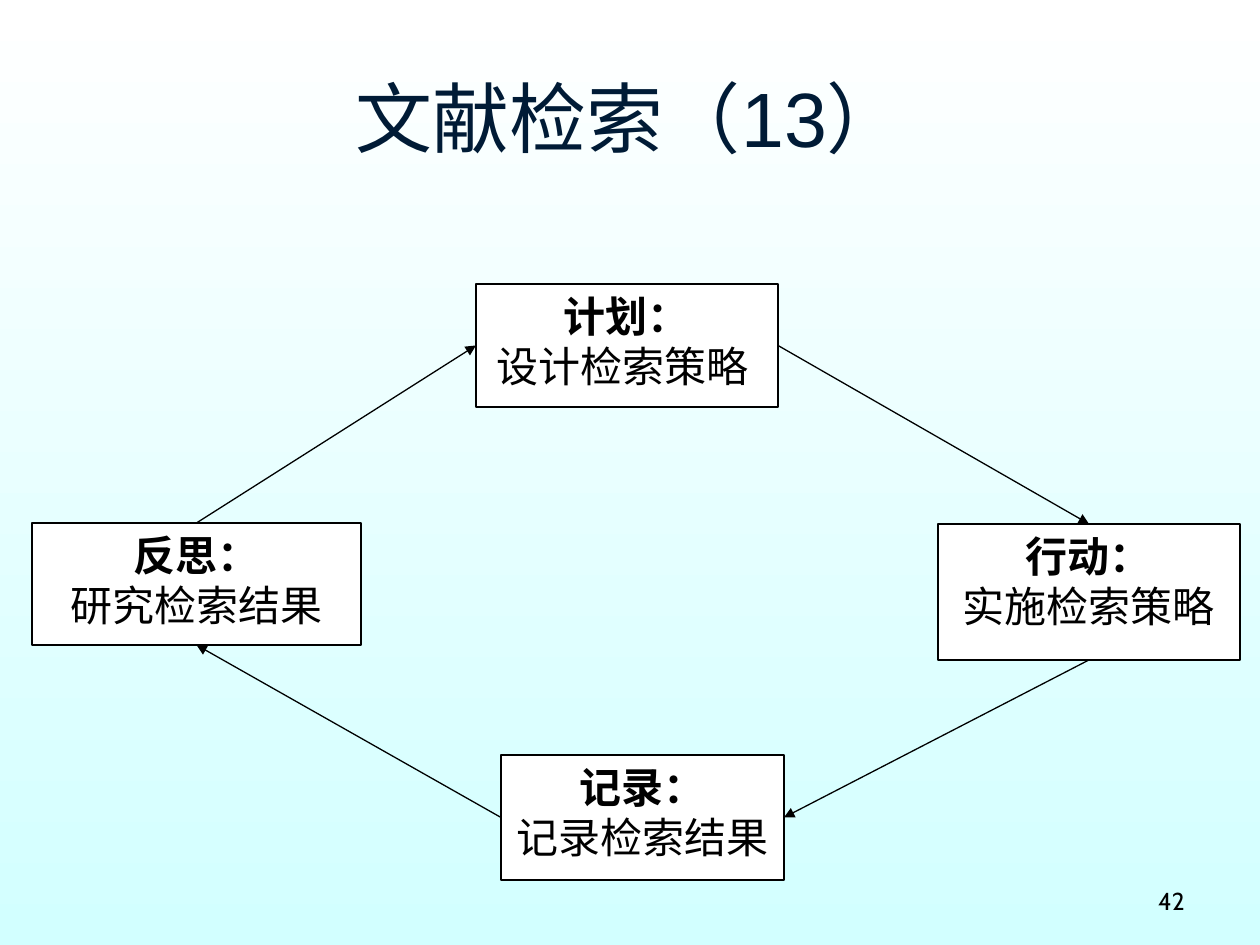
from itertools import pairwise

from lxml.etree import SubElement
from pptx import Presentation
from pptx.dml.color import RGBColor
from pptx.enum.shapes import MSO_CONNECTOR, MSO_SHAPE
from pptx.enum.text import MSO_ANCHOR, PP_ALIGN
from pptx.oxml.ns import qn
from pptx.util import Pt

SCALE = 914400 // 126
CJK = "Noto Sans CJK SC"
HUES = {"ink": "000000", "title": "001B36", "box": "FFFFFF",
        "top": "FFFFFF", "base": "D2FFFF"}
TOP, LEFT, BOTTOM, RIGHT = range(4)


def px(*nums):
    return [num * SCALE for num in nums]


def hue(name):
    return RGBColor.from_string(HUES[name])


def dress(item, style):
    for key, value in style.items():
        setattr(item, key, value)


class Deck:
    def __init__(self, wide, high):
        self.show = Presentation()
        dress(self.show, {"slide_width": wide * SCALE, "slide_height": high * SCALE})
        self.slide = self.show.slides.add_slide(self.show.slide_layouts[6])
        self.shapes = self.slide.shapes
        self.edge = Pt(0.75)

    def back(self, *names):
        fill = self.slide.background.fill
        fill.gradient()
        fill.gradient_angle = 270
        for stop, name in zip(fill.gradient_stops, names):
            stop.color.rgb = hue(name)

    def words(self, para, text, align, tone="ink", **style):
        para.alignment = align
        run = para.add_run()
        run.text = text
        dress(run.font, style)
        run.font.color.rgb = hue(tone)
        SubElement(run.font._element, qn("a:ea"), typeface=CJK)

    def label(self, area, text, align, **style):
        frame = self.shapes.add_textbox(*px(*area)).text_frame
        dress(frame, {"word_wrap": True, "vertical_anchor": MSO_ANCHOR.MIDDLE})
        self.words(frame.paragraphs[0], text, align, **style)

    def box(self, area, head, body):
        shape = self.shapes.add_shape(MSO_SHAPE.RECTANGLE, *px(*area))
        shape.shadow.inherit = False
        shape.fill.solid()
        shape.fill.fore_color.rgb = hue("box")
        self.ink(shape.line)
        frame = shape.text_frame
        dress(frame, {"word_wrap": True, "vertical_anchor": MSO_ANCHOR.TOP})
        lines = [(frame.paragraphs[0], head, True), (frame.add_paragraph(), body, False)]
        for para, text, bold in lines:
            self.words(para, text, PP_ALIGN.CENTER, size=Pt(24), name=CJK, bold=bold)
        return shape

    def ink(self, line):
        line.width = self.edge
        line.color.rgb = hue("ink")

    def arrow(self, start, out, end, into):
        line = self.shapes.add_connector(MSO_CONNECTOR.STRAIGHT, 0, 0, 0, 0)
        line.begin_connect(start, out)
        line.end_connect(end, into)
        self.ink(line.line)
        props = line._element.spPr
        SubElement(props.find(qn("a:ln")), qn("a:tailEnd"), type="triangle")
        SubElement(props, qn("a:effectLst"))


def main():
    deck = Deck(1260, 945)
    deck.back("top", "base")
    deck.label((63, 38, 1134, 158), "文献检索（13）", PP_ALIGN.CENTER,
               tone="title", size=Pt(44), name="Arial")
    deck.label((903, 876, 294, 50), "42", PP_ALIGN.RIGHT, size=Pt(14), name="Cabin")

    steps = [
        ((476, 284, 302, 123), "计划：", "设计检索策略 "),
        ((938, 524, 302, 136), "行动：", "实施检索策略"),
        ((501, 755, 283, 125), "记录：", "记录检索结果"),
        ((32, 523, 329, 122), "反思：", "研究检索结果"),
    ]
    boxes = [deck.box(*step) for step in steps]
    sides = [(RIGHT, TOP), (BOTTOM, RIGHT), (LEFT, BOTTOM), (TOP, LEFT)]
    for (start, end), (out, into) in zip(pairwise(boxes + boxes[:1]), sides):
        deck.arrow(start, out, end, into)

    deck.show.save("out.pptx")


if __name__ == "__main__":
    main()
